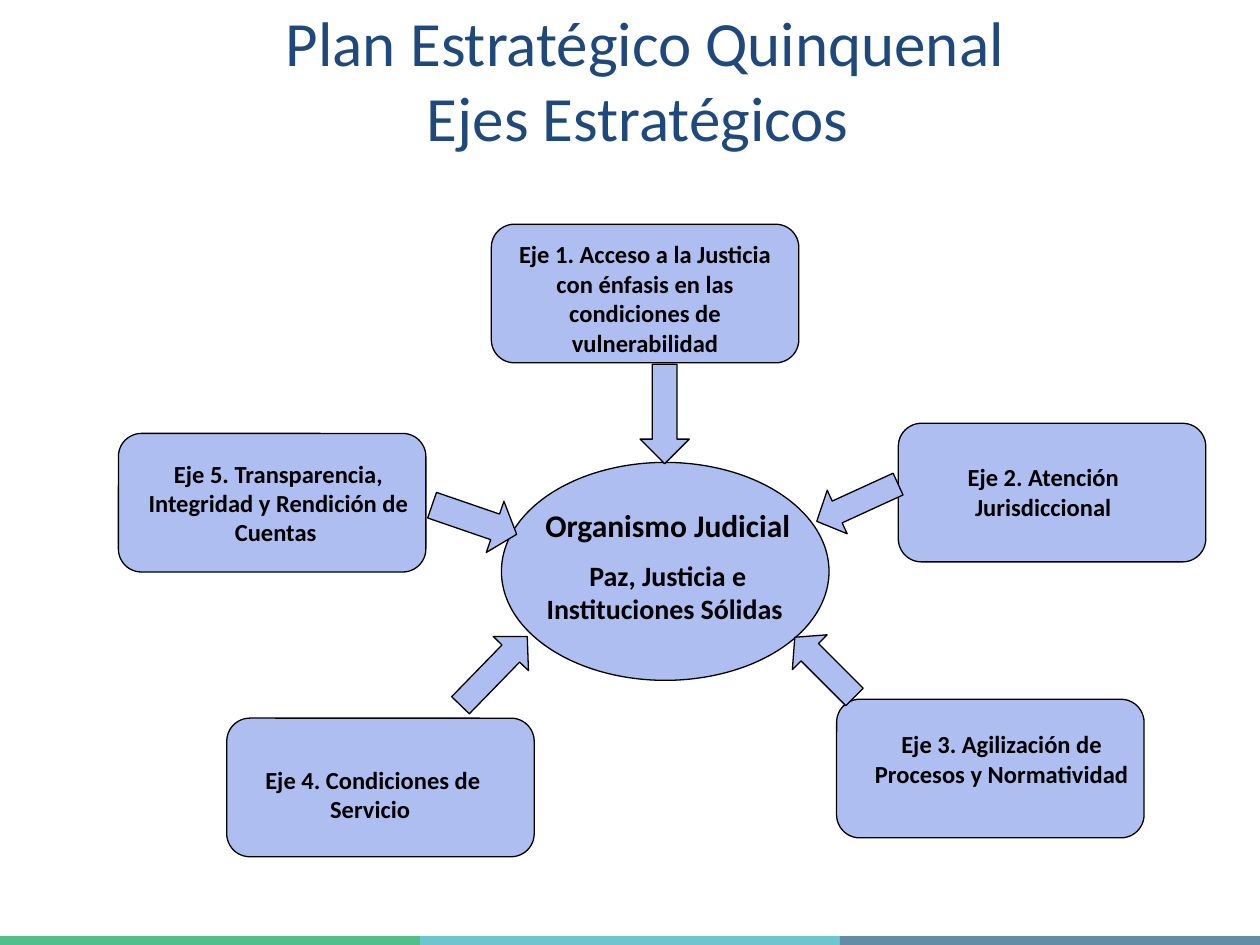
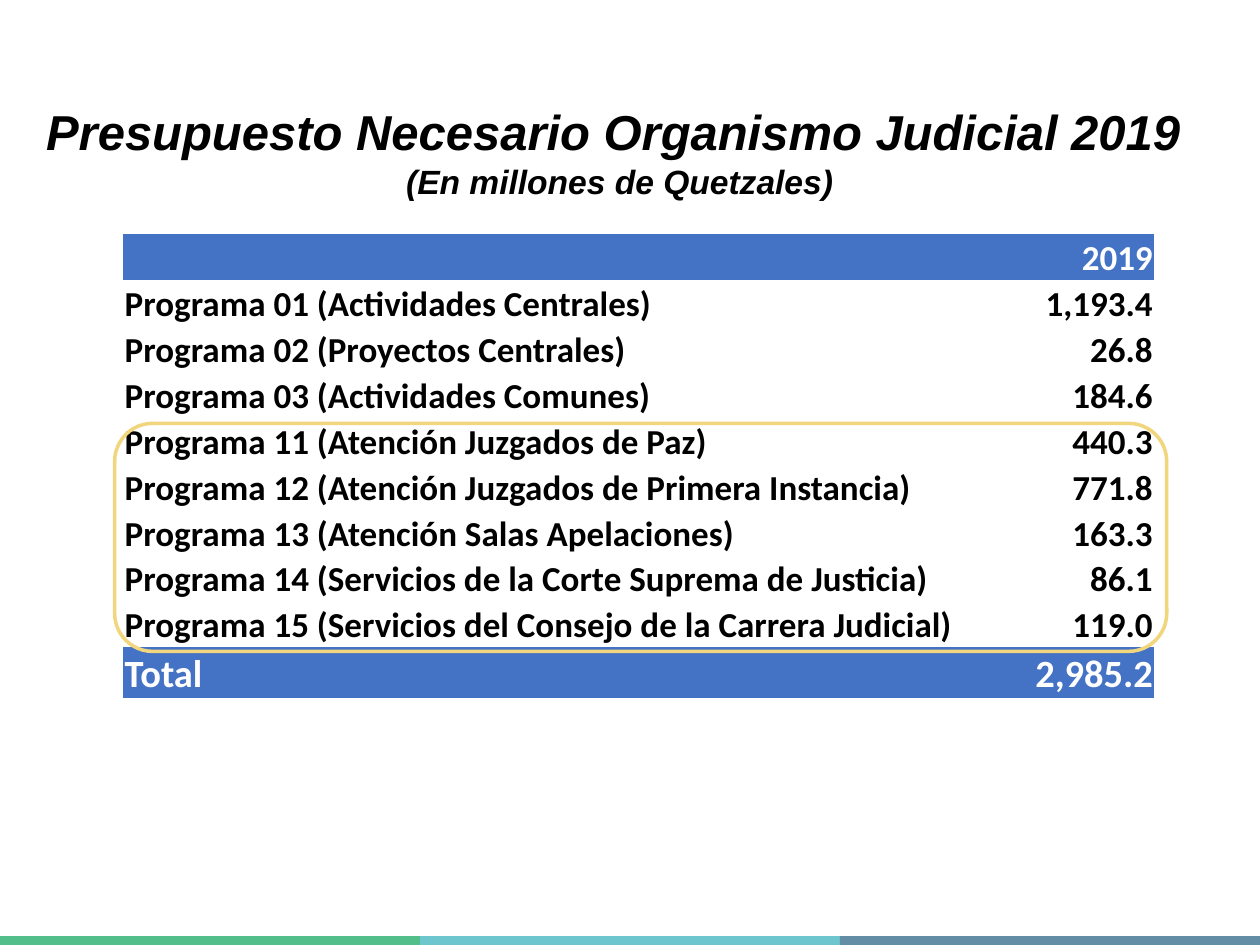
from dataclasses import dataclass

from pptx import Presentation
from pptx.dml.color import RGBColor
from pptx.enum.shapes import MSO_SHAPE
from pptx.enum.text import MSO_ANCHOR, MSO_AUTO_SIZE, PP_ALIGN
from pptx.oxml.ns import qn
from pptx.util import Inches, Pt

RECT, ROUND, OVAL = MSO_SHAPE.RECTANGLE, MSO_SHAPE.ROUNDED_RECTANGLE, MSO_SHAPE.OVAL
DOWN, LEFT, RIGHT = MSO_SHAPE.DOWN_ARROW, MSO_SHAPE.LEFT_ARROW, MSO_SHAPE.RIGHT_ARROW
TOP, MIDDLE, BOTTOM = MSO_ANCHOR.TOP, MSO_ANCHOR.MIDDLE, MSO_ANCHOR.BOTTOM
START, CENTER, END = PP_ALIGN.LEFT, PP_ALIGN.CENTER, PP_ALIGN.RIGHT
GROW = MSO_AUTO_SIZE.SHAPE_TO_FIT_TEXT
PLAIN = "{2D5ABB26-0587-4C30-8999-92F81FD0307C}"


@dataclass(frozen=True)
class Theme:
    ink: str = "000000"
    paper: str = "FFFFFF"
    navy: str = "1F497D"
    soft: str = "AEBEF0"
    head: str = "4472C4"
    gold: str = "F2D67D"
    bands: tuple = ("52BF8A", "6DC6CD", "638CA5")
    body: str = "Calibri"
    formal: str = "Arial"
    title: float = 36
    banner: float = 28
    note: float = 19.2
    core: float = 18
    motto: float = 16
    label: float = 14
    cell: float = 20
    total: float = 22


T = Theme()

AXES = [
    ((3.9, 1.78), (0.08, 0.07, 1.03),
     "Eje 1. Acceso a la Justicia con énfasis en las condiciones de vulnerabilidad"),
    ((7.13, 3.36), (0.01, 0.26, 0.57), "Eje 2. Atención Jurisdiccional"),
    ((6.64, 5.55), (0.17, 0.19, 0.57), "Eje 3. Agilización de Procesos y Normatividad"),
    ((1.8, 5.7), (0.02, 0.32, 0.57), "Eje 4. Condiciones de Servicio "),
    ((0.94, 3.44), (0.13, 0.15, 0.8),
     "Eje 5. Transparencia, Integridad y Rendición de Cuentas "),
]

ARROWS = [
    (DOWN, (5.08, 2.89, 0.39, 0.79), 0, 0.5),
    (RIGHT, (3.41, 3.91, 0.71, 0.43), 19, 0.42),
    (LEFT, (6.45, 3.8, 0.71, 0.38), 335.4, 0.47),
    (RIGHT, (3.54, 5.13, 0.76, 0.39), 314.2, 0.48),
    (LEFT, (6.21, 5.1, 0.67, 0.39), 45, 0.43),
]

BUDGET = [
    ("", "2019"),
    ("Programa 01 (Actividades Centrales)", "1,193.4"),
    ("Programa 02 (Proyectos Centrales)", "26.8"),
    ("Programa 03 (Actividades Comunes)", "184.6"),
    ("Programa 11 (Atención Juzgados de Paz)", "440.3"),
    ("Programa 12 (Atención Juzgados de Primera Instancia)", "771.8"),
    ("Programa 13 (Atención Salas Apelaciones)", "163.3"),
    ("Programa 14 (Servicios de la Corte Suprema de Justicia)", "86.1"),
    ("Programa 15 (Servicios del Consejo de la Carrera Judicial)", "119.0"),
    ("Total", "2,985.2"),
]


def apply(item, form):
    for name, value in form.items():
        setattr(item, name, value)


def style(par, size, color=T.ink, face=T.body, align=CENTER, **form):
    par.alignment = align
    for run in par.runs:
        apply(run.font, {"size": Pt(size), "name": face, **form})
        run.font.color.rgb = RGBColor.from_string(color)


def paint(fill, color):
    if color:
        fill.solid()
        fill.fore_color.rgb = RGBColor.from_string(color)
    else:
        fill.background()


def draw(slide, kind, box, fill=None, line=None, width=0.75):
    shape = slide.shapes.add_shape(kind, *map(Inches, box))
    shape.shadow.inherit = False
    paint(shape.fill, fill)
    paint(shape.line.fill, line)
    if line:
        shape.line.width = Pt(width)
    return shape


def write(slide, box, lines, gap=0, **form):
    frame = slide.shapes.add_textbox(*map(Inches, box)).text_frame
    apply(frame, {"word_wrap": True, "auto_size": GROW,
                  "vertical_anchor": TOP, **form})
    for index, (text, look) in enumerate(lines):
        par = frame.add_paragraph() if index else frame.paragraphs[0]
        par.text = text
        style(par, **look)
        if index:
            par.space_before = Pt(gap)


def footer(slide, left, top, width, height):
    step = width / len(T.bands)
    for index, color in enumerate(T.bands):
        draw(slide, RECT, (left + index * step, top, step, height), color)


def core(slide, left, top, width, height):
    draw(slide, OVAL, (left, top, width, height), T.soft, T.ink)
    write(slide, (left + 0.06, top + 0.3, width - 0.08, height - 0.36), [
        ("Organismo Judicial", {"size": T.core, "bold": True}),
        ("Paz, Justicia e Instituciones Sólidas ", {"size": T.motto, "bold": True}),
    ], gap=T.motto / 2)


def card(slide, left, top, inset, text):
    draw(slide, ROUND, (left, top, 2.44, 1.1), T.soft, T.ink)
    across, down, height = inset
    write(slide, (left + across, top + down, 2.28, height),
          [(text, {"size": T.label, "bold": True})])


def arrow(slide, kind, box, turn, tip):
    shape = draw(slide, kind, box, T.soft, T.ink)
    shape.rotation = turn
    shape.adjustments[0] = 0.5
    shape.adjustments[1] = tip


def plan(slide):
    core(slide, 3.98, 3.67, 2.6, 1.73)
    for place, inset, text in AXES:
        card(slide, *place, inset, text)
    for item in ARROWS:
        arrow(slide, *item)
    write(slide, (0.62, 0, 9, 1.25),
          [("Plan Estratégico Quinquenal\vEjes Estratégicos ",
            {"size": T.title, "color": T.navy})],
          vertical_anchor=MIDDLE, auto_size=MSO_AUTO_SIZE.NONE)


def grid(slide, left, top, width, height):
    count, last, side = len(BUDGET), 0.4, 1.11
    frame = slide.shapes.add_table(count, 2, *map(Inches, (left, top, width, height)))
    frame.element.find(".//" + qn("a:tableStyleId")).text = PLAIN
    table = frame.table
    apply(table, {"first_row": False, "horz_banding": False})
    for column, size in zip(table.columns, (width - side, side)):
        column.width = Inches(size)
    for index, (row, texts) in enumerate(zip(table.rows, BUDGET)):
        final = index == count - 1
        strong = final or index == 0
        row.height = Inches(last if final else (height - last) / (count - 1))
        for cell, text, align in zip(row.cells, texts, (START, END)):
            apply(cell, {"margin_left": Inches(0.01), "margin_right": Inches(0.01),
                         "margin_top": Inches(0.01), "margin_bottom": 0,
                         "vertical_anchor": BOTTOM, "text": text})
            paint(cell.fill, T.head if strong else None)
            style(cell.text_frame.paragraphs[0], T.total if final else T.cell,
                  T.paper if strong else T.ink, align=align, bold=True)


def budget(slide):
    grid(slide, 0.98, 1.86, 8.18, 3.68)
    look = {"face": T.formal, "bold": True, "italic": True}
    write(slide, (0.21, 0.76, 9.42, 0.9), [
        ("Presupuesto Necesario Organismo Judicial 2019 ", {"size": T.banner, **look}),
        ("(En millones de Quetzales)", {"size": T.note, **look}),
    ], word_wrap=False)
    draw(slide, ROUND, (0.91, 3.36, 8.35, 1.81), line=T.gold, width=2)


def main():
    deck = Presentation()
    apply(deck, {"slide_width": Inches(10), "slide_height": Inches(7.5)})
    for build in (plan, budget):
        slide = deck.slides.add_slide(deck.slide_layouts[6])
        paint(slide.background.fill, T.paper)
        footer(slide, 0, 7.43, 10, 0.07)
        build(slide)
    deck.save("out.pptx")


if __name__ == "__main__":
    main()
